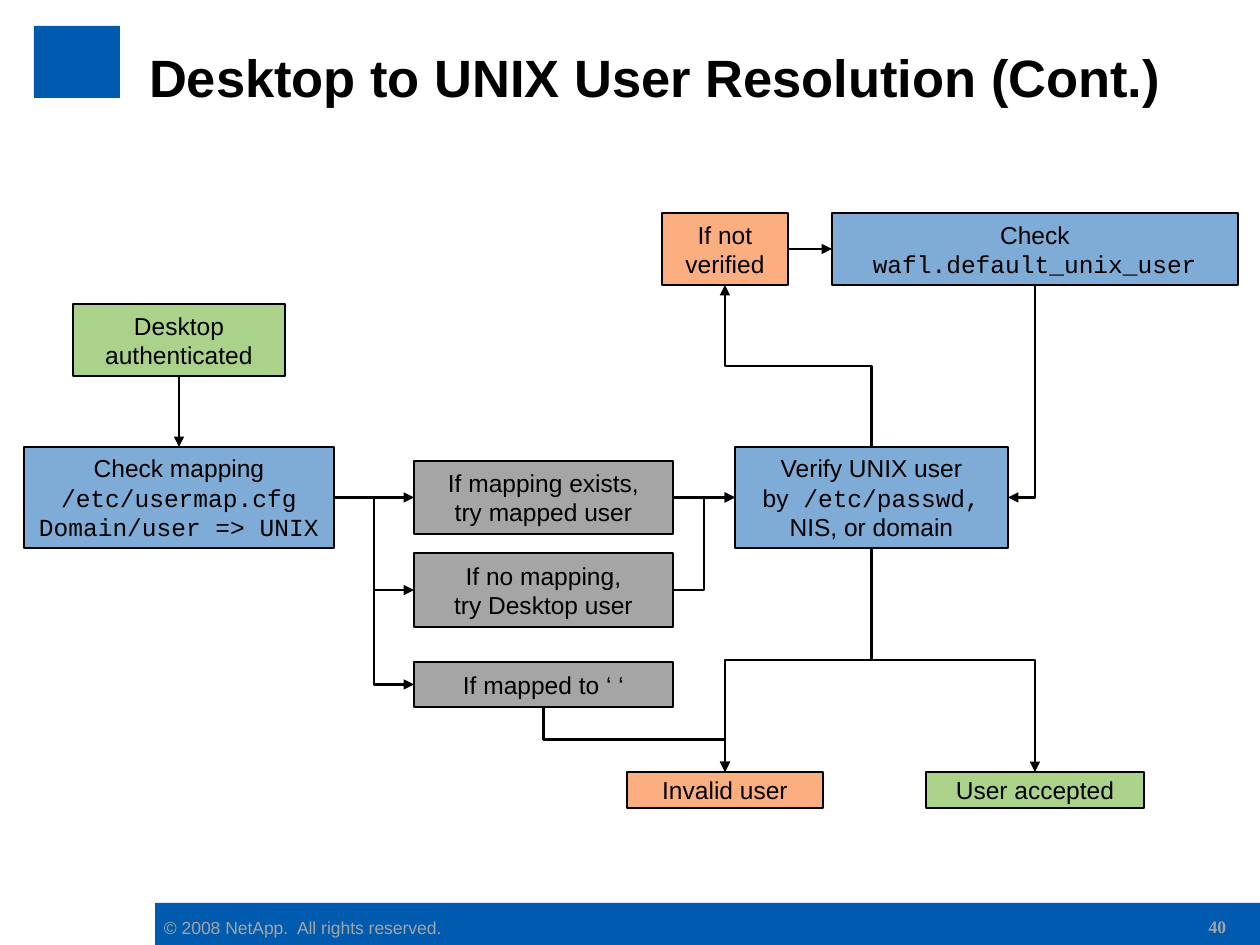
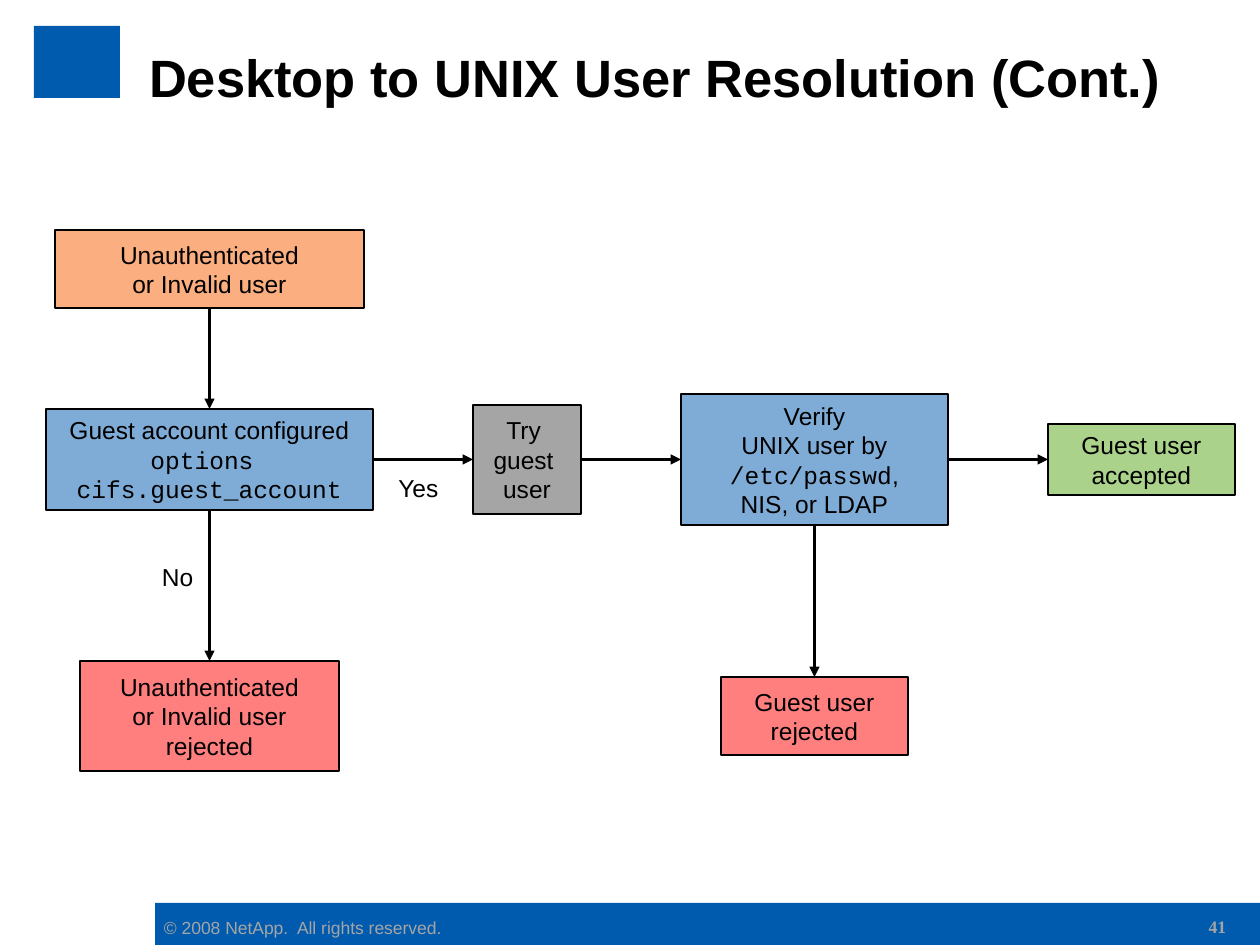
"""Build two flowchart slides on resolving users between desktop and UNIX accounts."""
from dataclasses import dataclass
from typing import Any

from lxml.etree import SubElement
from pptx import Presentation
from pptx.dml.color import RGBColor
from pptx.enum.shapes import MSO_CONNECTOR, MSO_SHAPE
from pptx.enum.text import MSO_ANCHOR, PP_ALIGN
from pptx.oxml.ns import qn
from pptx.util import Emu, Pt

PX_PER_INCH = 126
SLIDE_WIDTH, SLIDE_HEIGHT = 1260, 945

BLUE = RGBColor(0x00, 0x5B, 0xAE)
GREEN = RGBColor(0x58, 0xA6, 0x18)
ORANGE = RGBColor(0xF9, 0x5F, 0x00)
RED = RGBColor(0xFF, 0x00, 0x00)
GRAY = RGBColor(0xA5, 0xA5, 0xA5)
BLACK = RGBColor(0x00, 0x00, 0x00)

BODY_FONT = "Arial"
CODE_FONT = "Courier New"
TITLE = "Desktop to UNIX User Resolution (Cont.)"
COPYRIGHT = "© 2008 NetApp.  All rights reserved."
TOP, LEFT, BOTTOM, RIGHT = range(4)


@dataclass(frozen=True)
class Box:
    """Place of an element in px."""

    left: int
    top: int
    width: int
    height: int

    def emu(self) -> tuple[Emu, Emu, Emu, Emu]:
        """Return the place in EMU."""
        return px(self.left), px(self.top), px(self.width), px(self.height)

    def side(self, index: int) -> tuple[float, float]:
        """Return the middle of one side in px."""
        center_x = self.left + self.width / 2
        center_y = self.top + self.height / 2
        return (
            (center_x, self.top),
            (self.left, center_y),
            (center_x, self.top + self.height),
            (self.left + self.width, center_y),
        )[index]


@dataclass(frozen=True)
class TextStyle:
    """Look of a text; frame values apply to the text frame."""

    size: int = 14
    color: RGBColor = BLACK
    font: str = BODY_FONT
    bold: bool = False
    align: Any = PP_ALIGN.CENTER
    anchor: Any = MSO_ANCHOR.TOP
    margins: tuple[int, int] = (13, 6)
    wrap: bool = True


@dataclass(frozen=True)
class Step:
    """Flowchart box; text between backticks is code."""

    box: Box
    color: RGBColor
    lines: tuple[str, ...]


@dataclass(frozen=True)
class Arrow:
    """Arrow from one side of a step to one side of another."""

    start: str
    start_side: int
    end: str
    end_side: int


@dataclass(frozen=True)
class Label:
    """Loose word beside an arrow."""

    box: Box
    text: str


@dataclass(frozen=True)
class Flowchart:
    """Contents of one slide."""

    number: int
    steps: dict[str, Step]
    arrows: tuple[Arrow, ...]
    labels: tuple[Label, ...] = ()


STEP_STYLE = TextStyle(anchor=MSO_ANCHOR.MIDDLE)
LABEL_STYLE = TextStyle(margins=(0, 6), wrap=False)
TITLE_STYLE = TextStyle(size=30, bold=True, align=PP_ALIGN.LEFT,
                        anchor=MSO_ANCHOR.MIDDLE, margins=(13, 0))
COPYRIGHT_STYLE = TextStyle(size=10, color=GRAY, align=PP_ALIGN.LEFT,
                            margins=(0, 0), wrap=False)
NUMBER_STYLE = TextStyle(size=10, color=GRAY, font="Times New Roman",
                         bold=True, align=PP_ALIGN.RIGHT)

FLOWCHARTS = (
    Flowchart(
        40,
        {
            "mapping": Step(Box(24, 447, 310, 101), BLUE, (
                "Check mapping", "`/etc/usermap.cfg`", "`Domain/user => UNIX`")),
            "unmapped": Step(Box(414, 553, 259, 74), GRAY,
                             ("If no mapping,", "try Desktop user")),
            "mapped": Step(Box(414, 461, 259, 73), GRAY,
                           ("If mapping exists,", "try mapped user")),
            "blank": Step(Box(414, 662, 259, 45), GRAY, ("If mapped to ‘ ‘",)),
            "invalid": Step(Box(627, 772, 196, 36), ORANGE, ("Invalid user",)),
            "verify": Step(Box(735, 447, 273, 101), BLUE, (
                "Verify UNIX user", "by` /etc/passwd,`", "NIS, or domain")),
            "accepted": Step(Box(926, 772, 218, 36), GREEN, ("User accepted",)),
            "unverified": Step(Box(662, 213, 126, 72), ORANGE, ("If not", "verified")),
            "default": Step(Box(832, 213, 406, 72), BLUE,
                            ("Check", "`wafl.default_unix_user`")),
            "authenticated": Step(Box(73, 304, 212, 72), GREEN,
                                  ("Desktop", "authenticated")),
        },
        (
            Arrow("authenticated", BOTTOM, "mapping", TOP),
            Arrow("mapping", RIGHT, "mapped", LEFT),
            Arrow("mapping", RIGHT, "unmapped", LEFT),
            Arrow("mapping", RIGHT, "blank", LEFT),
            Arrow("mapped", RIGHT, "verify", LEFT),
            Arrow("unmapped", RIGHT, "verify", LEFT),
            Arrow("blank", BOTTOM, "invalid", TOP),
            Arrow("verify", BOTTOM, "invalid", TOP),
            Arrow("verify", BOTTOM, "accepted", TOP),
            Arrow("verify", TOP, "unverified", BOTTOM),
            Arrow("unverified", RIGHT, "default", LEFT),
            Arrow("default", BOTTOM, "verify", RIGHT),
        ),
    ),
    Flowchart(
        41,
        {
            "unauthenticated": Step(Box(55, 230, 309, 78), ORANGE,
                                    ("Unauthenticated", "or Invalid user")),
            "rejected": Step(Box(80, 661, 259, 110), RED,
                             ("Unauthenticated", "or Invalid user", "rejected")),
            "guest rejected": Step(Box(721, 677, 187, 78), RED,
                                   ("Guest user", "rejected")),
            "verify": Step(Box(681, 394, 267, 131), BLUE, (
                "Verify", "UNIX user by", "`/etc/passwd`,", "NIS, or LDAP")),
            "configured": Step(Box(46, 409, 327, 101), BLUE, (
                "Guest account configured", "`options `", "`cifs.guest_account`")),
            "try": Step(Box(473, 405, 108, 109), GRAY, ("Try ", "guest ", "user")),
            "guest accepted": Step(Box(1048, 424, 187, 71), GREEN,
                                   ("Guest user", "accepted")),
        },
        (
            Arrow("unauthenticated", BOTTOM, "configured", TOP),
            Arrow("configured", BOTTOM, "rejected", TOP),
            Arrow("verify", BOTTOM, "guest rejected", TOP),
            Arrow("configured", RIGHT, "try", LEFT),
            Arrow("try", RIGHT, "verify", LEFT),
            Arrow("verify", RIGHT, "guest accepted", LEFT),
        ),
        (Label(Box(149, 556, 57, 43), "No"), Label(Box(373, 467, 91, 43), "Yes")),
    ),
)


def px(length: float) -> Emu:
    """Turn px into EMU."""
    return Emu(round(length * 914400 / PX_PER_INCH))


def set_values(target: Any, values: dict[str, Any]) -> None:
    """Set attributes from a dict of format values."""
    for name, value in values.items():
        setattr(target, name, value)


def write_lines(shape: Any, lines: tuple[str, ...], style: TextStyle) -> None:
    """Write one paragraph a line, with backticked parts in the code font."""
    frame = shape.text_frame
    side, edge = (px(margin) for margin in style.margins)
    set_values(frame, {
        "margin_left": side, "margin_right": side,
        "margin_top": edge, "margin_bottom": edge,
        "word_wrap": style.wrap, "vertical_anchor": style.anchor,
    })
    for index, line in enumerate(lines):
        paragraph = frame.add_paragraph() if index else frame.paragraphs[0]
        paragraph.alignment = style.align
        for part, text in enumerate(line.split("`")):
            if not text:
                continue
            run = paragraph.add_run()
            run.text = text
            set_values(run.font, {
                "size": Pt(style.size), "bold": style.bold,
                "name": CODE_FONT if part % 2 else style.font,
            })
            run.font.color.rgb = style.color


def add_text(slide: Any, box: Box, text: str, style: TextStyle) -> None:
    """Add a text box of one line."""
    write_lines(slide.shapes.add_textbox(*box.emu()), (text,), style)


def add_rectangle(slide: Any, box: Box, color: RGBColor) -> Any:
    """Add a plain filled rectangle."""
    shape = slide.shapes.add_shape(MSO_SHAPE.RECTANGLE, *box.emu())
    shape.shadow.inherit = False
    shape.fill.solid()
    shape.fill.fore_color.rgb = color
    shape.line.fill.background()
    return shape


def add_step(slide: Any, step: Step) -> Any:
    """Add an outlined flowchart box, half transparent unless gray."""
    shape = add_rectangle(slide, step.box, step.color)
    if step.color != GRAY:
        color = shape.element.spPr.find(qn("a:solidFill")).find(qn("a:srgbClr"))
        SubElement(color, qn("a:alpha"), val="50000")
    shape.line.color.rgb = BLACK
    shape.line.width = Pt(1)
    write_lines(shape, step.lines, STEP_STYLE)
    return shape


def add_arrow(slide: Any, arrow: Arrow, steps: dict[str, Step],
              shapes: dict[str, Any]) -> None:
    """Join two steps by a straight or bent arrow."""
    start_x, start_y = steps[arrow.start].box.side(arrow.start_side)
    end_x, end_y = steps[arrow.end].box.side(arrow.end_side)
    straight = start_x == end_x or start_y == end_y
    kind = MSO_CONNECTOR.STRAIGHT if straight else MSO_CONNECTOR.ELBOW
    connector = slide.shapes.add_connector(
        kind, px(start_x), px(start_y), px(end_x), px(end_y))
    connector.begin_connect(shapes[arrow.start], arrow.start_side)
    connector.end_connect(shapes[arrow.end], arrow.end_side)
    properties = connector.element.spPr
    if not straight and arrow.start_side in (TOP, BOTTOM):
        middle_x, middle_y = (start_x + end_x) / 2, (start_y + end_y) / 2
        half_x, half_y = (end_y - start_y) / 2, (start_x - end_x) / 2
        set_values(connector, {
            "begin_x": px(middle_x - half_x), "begin_y": px(middle_y - half_y),
            "end_x": px(middle_x + half_x), "end_y": px(middle_y + half_y),
        })
        properties.find(qn("a:xfrm")).set("rot", "5400000")
        if arrow.end_side in (LEFT, RIGHT):
            properties.find(qn("a:prstGeom")).set("prst", "bentConnector2")
    connector.line.color.rgb = BLACK
    connector.line.width = Pt(1.5)
    SubElement(properties.find(qn("a:ln")), qn("a:tailEnd"), type="triangle")
    SubElement(properties, qn("a:effectLst"))


def add_flowchart(presentation: Any, flowchart: Flowchart) -> None:
    """Add a slide with the shared frame and its flowchart."""
    slide = presentation.slides.add_slide(presentation.slide_layouts[6])
    add_rectangle(slide, Box(155, 903, 1105, 42), BLUE)
    add_text(slide, Box(164, 917, 290, 21), COPYRIGHT, COPYRIGHT_STYLE)
    add_rectangle(slide, Box(34, 26, 86, 72), BLUE)
    add_text(slide, Box(136, 14, 1105, 126), TITLE, TITLE_STYLE)
    shapes = {name: add_step(slide, step) for name, step in flowchart.steps.items()}
    for arrow in flowchart.arrows:
        add_arrow(slide, arrow, flowchart.steps, shapes)
    for label in flowchart.labels:
        add_text(slide, label.box, label.text, LABEL_STYLE)
    add_text(slide, Box(1144, 910, 95, 32), str(flowchart.number), NUMBER_STYLE)


def main() -> None:
    """Build and save the presentation."""
    presentation = Presentation()
    set_values(presentation, {
        "slide_width": px(SLIDE_WIDTH), "slide_height": px(SLIDE_HEIGHT)})
    for flowchart in FLOWCHARTS:
        add_flowchart(presentation, flowchart)
    presentation.save("out.pptx")


if __name__ == "__main__":
    main()
